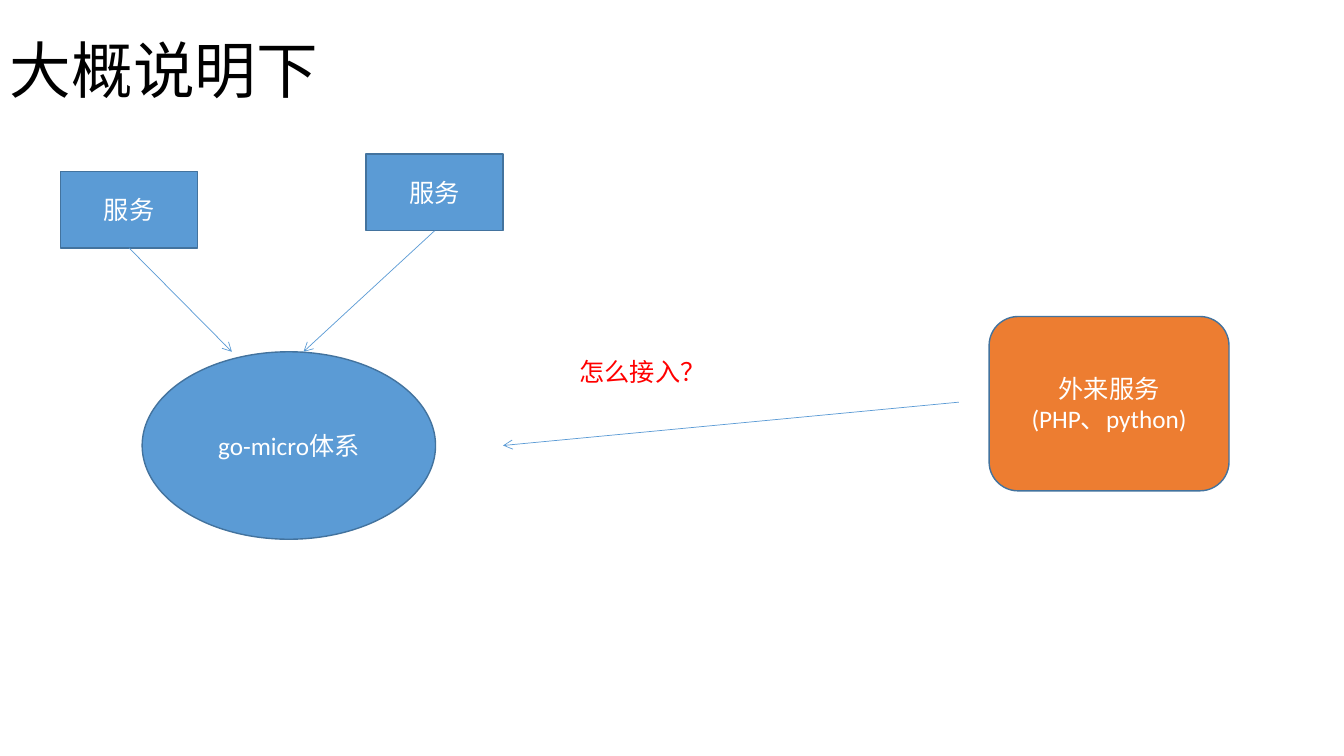
from dataclasses import dataclass

from lxml.etree import SubElement
from pptx import Presentation
from pptx.dml.color import RGBColor
from pptx.enum.shapes import MSO_CONNECTOR, MSO_SHAPE
from pptx.enum.text import MSO_ANCHOR, PP_ALIGN
from pptx.oxml.ns import qn
from pptx.slide import Slide
from pptx.text.text import TextFrame
from pptx.util import Inches, Pt


@dataclass(frozen=True)
class Theme:
    font: str = "Calibri"
    title_size: float = 44
    body_size: float = 18
    outline_width: float = 1
    arrow_width: float = 0.5
    black: RGBColor = RGBColor(0x00, 0x00, 0x00)
    white: RGBColor = RGBColor(0xFF, 0xFF, 0xFF)
    red: RGBColor = RGBColor(0xFF, 0x00, 0x00)
    blue: RGBColor = RGBColor(0x5B, 0x9B, 0xD5)
    outline: RGBColor = RGBColor(0x43, 0x73, 0x9E)
    orange: RGBColor = RGBColor(0xED, 0x7D, 0x31)


THEME = Theme()


@dataclass(frozen=True)
class Box:
    left: float
    top: float
    width: float
    height: float

    def lengths(self) -> tuple[Inches, ...]:
        return tuple(Inches(v) for v in (self.left, self.top, self.width, self.height))


@dataclass(frozen=True)
class Node:
    box: Box
    preset: MSO_SHAPE
    fill: RGBColor
    lines: tuple[str, ...]


@dataclass(frozen=True)
class Arrow:
    start: tuple[float, float]
    end: tuple[float, float]


@dataclass(frozen=True)
class Label:
    box: Box
    text: str
    size: float
    color: RGBColor
    anchor: MSO_ANCHOR = MSO_ANCHOR.TOP
    line_spacing: float = 1.0


def write_lines(frame: TextFrame, lines: tuple[str, ...], size: float, color: RGBColor,
                alignment: PP_ALIGN, line_spacing: float = 1.0) -> None:
    frame.word_wrap = True
    for index, text in enumerate(lines):
        paragraph = frame.add_paragraph() if index else frame.paragraphs[0]
        paragraph.alignment = alignment
        paragraph.line_spacing = line_spacing
        run = paragraph.add_run()
        run.text = text
        run.font.name = THEME.font
        run.font.size = Pt(size)
        run.font.color.rgb = color


def draw_node(slide: Slide, node: Node) -> None:
    shape = slide.shapes.add_shape(node.preset, *node.box.lengths())
    shape.shadow.inherit = False
    shape.fill.solid()
    shape.fill.fore_color.rgb = node.fill
    shape.line.color.rgb = THEME.outline
    shape.line.width = Pt(THEME.outline_width)
    shape.text_frame.vertical_anchor = MSO_ANCHOR.MIDDLE
    write_lines(shape.text_frame, node.lines, THEME.body_size, THEME.white, PP_ALIGN.CENTER)


def draw_arrow(slide: Slide, arrow: Arrow) -> None:
    points = [Inches(v) for v in (*arrow.start, *arrow.end)]
    connector = slide.shapes.add_connector(MSO_CONNECTOR.STRAIGHT, *points)
    connector.line.color.rgb = THEME.blue
    connector.line.width = Pt(THEME.arrow_width)
    SubElement(connector.line._get_or_add_ln(), qn("a:tailEnd"), type="arrow")
    SubElement(connector._element.spPr, qn("a:effectLst"))


def draw_label(slide: Slide, label: Label) -> None:
    frame = slide.shapes.add_textbox(*label.box.lengths()).text_frame
    frame.vertical_anchor = label.anchor
    write_lines(frame, (label.text,), label.size, label.color, PP_ALIGN.LEFT, label.line_spacing)


LABELS = (
    Label(Box(0, 0, 11.5, 1.45), "大概说明下", THEME.title_size, THEME.black, MSO_ANCHOR.MIDDLE, 0.9),
    Label(Box(5.65, 3.49, 2.34, 0.4), "怎么接入？", THEME.body_size, THEME.red),
)
NODES = (
    Node(Box(1.41, 3.49, 2.91, 1.86), MSO_SHAPE.OVAL, THEME.blue, ("go-micro体系",)),
    *(Node(Box(left, top, 1.36, 0.76), MSO_SHAPE.RECTANGLE, THEME.blue, ("服务",))
      for left, top in ((0.6, 1.7), (3.63, 1.53))),
    Node(Box(9.81, 3.14, 2.38, 1.73), MSO_SHAPE.ROUNDED_RECTANGLE, THEME.orange,
         ("外来服务", "(PHP、python)")),
)
ARROWS = (
    Arrow((1.28, 2.46), (2.3, 3.49)),
    Arrow((4.31, 2.29), (3.01, 3.49)),
    Arrow((9.51, 3.99), (4.99, 4.42)),
)


def main() -> None:
    presentation = Presentation()
    presentation.slide_width = Inches(13.33)
    presentation.slide_height = Inches(7.5)
    slide = presentation.slides.add_slide(presentation.slide_layouts[6])
    for node in NODES:
        draw_node(slide, node)
    for arrow in ARROWS:
        draw_arrow(slide, arrow)
    for label in LABELS:
        draw_label(slide, label)
    presentation.save("out.pptx")


main()
